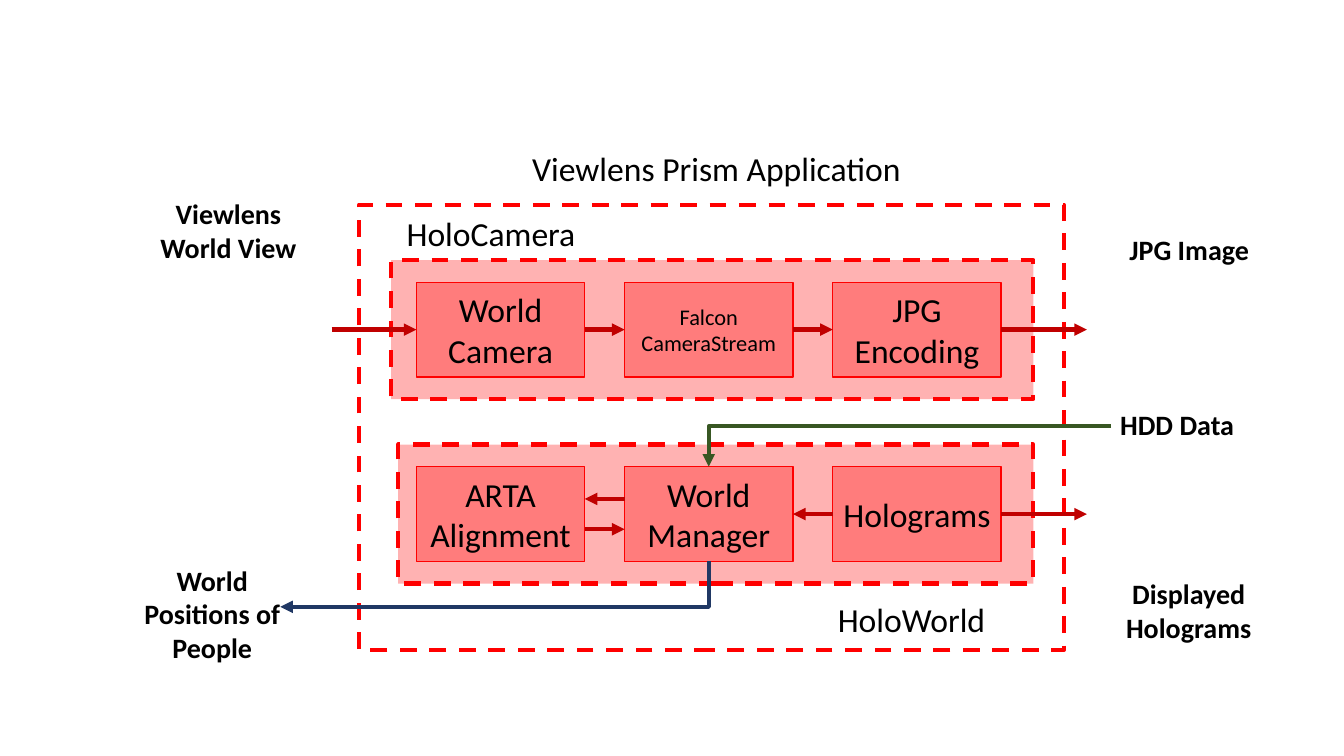
from lxml import etree
from pptx import Presentation
from pptx.dml.color import RGBColor
from pptx.enum.dml import MSO_LINE
from pptx.enum.shapes import MSO_CONNECTOR, MSO_SHAPE
from pptx.enum.text import MSO_ANCHOR, MSO_AUTO_SIZE, PP_ALIGN
from pptx.oxml.ns import qn
from pptx.util import Inches, Pt

RECT = MSO_SHAPE.RECTANGLE
STRAIGHT, ELBOW = MSO_CONNECTOR.STRAIGHT, MSO_CONNECTOR.ELBOW
DASH = MSO_LINE.DASH
MIDDLE = MSO_ANCHOR.MIDDLE
CENTER = PP_ALIGN.CENTER
GROW = MSO_AUTO_SIZE.SHAPE_TO_FIT_TEXT

FONT = "Calibri"
BLACK, RED, DARK_RED, GREEN, NAVY = "000000", "FF0000", "C00000", "385723", "203864"

# Grid of modules: three columns, two rows
COLS = [4.13 + 2.065 * i for i in range(3)]
ROWS = [2.8, 4.63]
MOD_W, MOD_H = 1.67, 0.94
APP = (3.56, 2.03, 6.99, 4.42)
OUT_X = 10.78


def color(hex_code):
    return RGBColor.from_string(hex_code)


def write(tf, text, size, bold=False):
    tf.word_wrap = True
    p = tf.paragraphs[0]
    p.alignment = CENTER
    r = p.add_run()
    r.text = text
    r.font.name = FONT
    r.font.size = Pt(size)
    r.font.bold = bold
    r.font.color.rgb = color(BLACK)


def add_box(s, box, line_width, dashed=False, filled=True):
    """Red-lined rectangle, with a translucent red fill if filled."""
    sp = s.shapes.add_shape(RECT, *map(Inches, box))
    sp.shadow.inherit = False
    sp.line.color.rgb = color(RED)
    sp.line.width = Pt(line_width)
    if dashed:
        sp.line.dash_style = DASH
    if filled:
        sp.fill.solid()
        sp.fill.fore_color.rgb = color(RED)
        clr = sp.fill._xPr.find(qn("a:solidFill"))[0]
        etree.SubElement(clr, qn("a:alpha")).set("val", "30000")
    else:
        sp.fill.background()
    return sp


def add_label(s, box, text, size=20, bold=True):
    tf = s.shapes.add_textbox(*map(Inches, box)).text_frame
    write(tf, text, size, bold)
    tf.auto_size = GROW


def add_arrow(s, start, end, hex_code=DARK_RED, kind=STRAIGHT):
    c = s.shapes.add_connector(kind, *map(Inches, (*start, *end)))
    c.line.color.rgb = color(hex_code)
    c.line.width = Pt(3)
    etree.SubElement(c.line._get_or_add_ln(), qn("a:tailEnd")).set("type", "triangle")
    etree.SubElement(c._element.spPr, qn("a:effectLst"))
    return c


def add_elbow(s, start, end, hex_code, down_first=False):
    """One-bend arrow; down_first turns the connector by a quarter."""
    if down_first:
        cx, cy = (start[0] + end[0]) / 2, (start[1] + end[1]) / 2
        half_w, half_h = abs(end[1] - start[1]) / 2, abs(end[0] - start[0]) / 2
        start, end = (cx - half_w, cy - half_h), (cx + half_w, cy + half_h)
    c = add_arrow(s, start, end, hex_code, ELBOW)
    sp_pr = c._element.spPr
    sp_pr.find(qn("a:prstGeom")).set("prst", "bentConnector2")
    if down_first:
        sp_pr.find(qn("a:xfrm")).set("rot", "5400000")


def add_group(s, box, row_top, modules):
    """Dashed panel with a row of modules, given as (text, size)."""
    add_box(s, box, 3, dashed=True)
    for left, (text, size) in zip(COLS, modules):
        sp = add_box(s, (left, row_top, MOD_W, MOD_H), 1)
        sp.text_frame.vertical_anchor = MIDDLE
        write(sp.text_frame, text, size)


def add_camera_flow(s, top):
    y = top + MOD_H / 2
    starts = [3.29] + [left + MOD_W for left in COLS]
    for x1, x2 in zip(starts, COLS + [OUT_X]):
        add_arrow(s, (x1, y), (x2, y))


def add_world_flow(s, top):
    y = top + MOD_H / 2
    rights = [left + MOD_W for left in COLS]
    mid_x = COLS[1] + MOD_W / 2
    add_arrow(s, (COLS[2], y), (rights[1], y))
    add_arrow(s, (rights[0], y + 0.15), (COLS[1], y + 0.15))
    add_arrow(s, (COLS[1], y - 0.15), (rights[0], y - 0.15))
    add_arrow(s, (rights[2], y), (OUT_X, y))
    add_elbow(s, (11.02, top - 0.4), (mid_x, top), GREEN)
    bottom = top + MOD_H
    add_elbow(s, (mid_x, bottom), (2.78, bottom + 0.45), NAVY, down_first=True)


def add_labels(s):
    for box, text in [
        ((5.08, 1.42, 4.05, 0.5), "Viewlens Prism Application"),
        ((3.8, 2.06, 2.14, 0.5), "HoloCamera"),
        ((7.97, 5.89, 2.14, 0.5), "HoloWorld"),
    ]:
        add_label(s, box, text, 24, False)
    for box, text in [
        ((1.34, 1.9, 1.85, 0.77), "Viewlens World View"),
        ((10.87, 2.26, 1.85, 0.44), "JPG Image"),
        ((10.75, 5.67, 2.08, 0.77), "Displayed Holograms"),
        ((1.11, 5.54, 1.99, 0.77), "World Positions of People"),
        ((10.75, 3.99, 1.85, 0.44), "HDD Data"),
    ]:
        add_label(s, box, text)


def main():
    prs = Presentation()
    prs.slide_width, prs.slide_height = Inches(13.33), Inches(7.5)
    s = prs.slides.add_slide(prs.slide_layouts[6])
    add_box(s, APP, 3, dashed=True, filled=False)
    add_group(s, (3.88, 2.58, 6.37, 1.38), ROWS[0],
              [("World Camera", 24), ("Falcon CameraStream", 16), ("JPG Encoding", 24)])
    add_group(s, (3.95, 4.41, 6.3, 1.38), ROWS[1],
              [("ARTA Alignment", 24), ("World Manager", 24), ("Holograms", 24)])
    add_camera_flow(s, ROWS[0])
    add_world_flow(s, ROWS[1])
    add_labels(s)
    prs.save("out.pptx")


if __name__ == "__main__":
    main()
